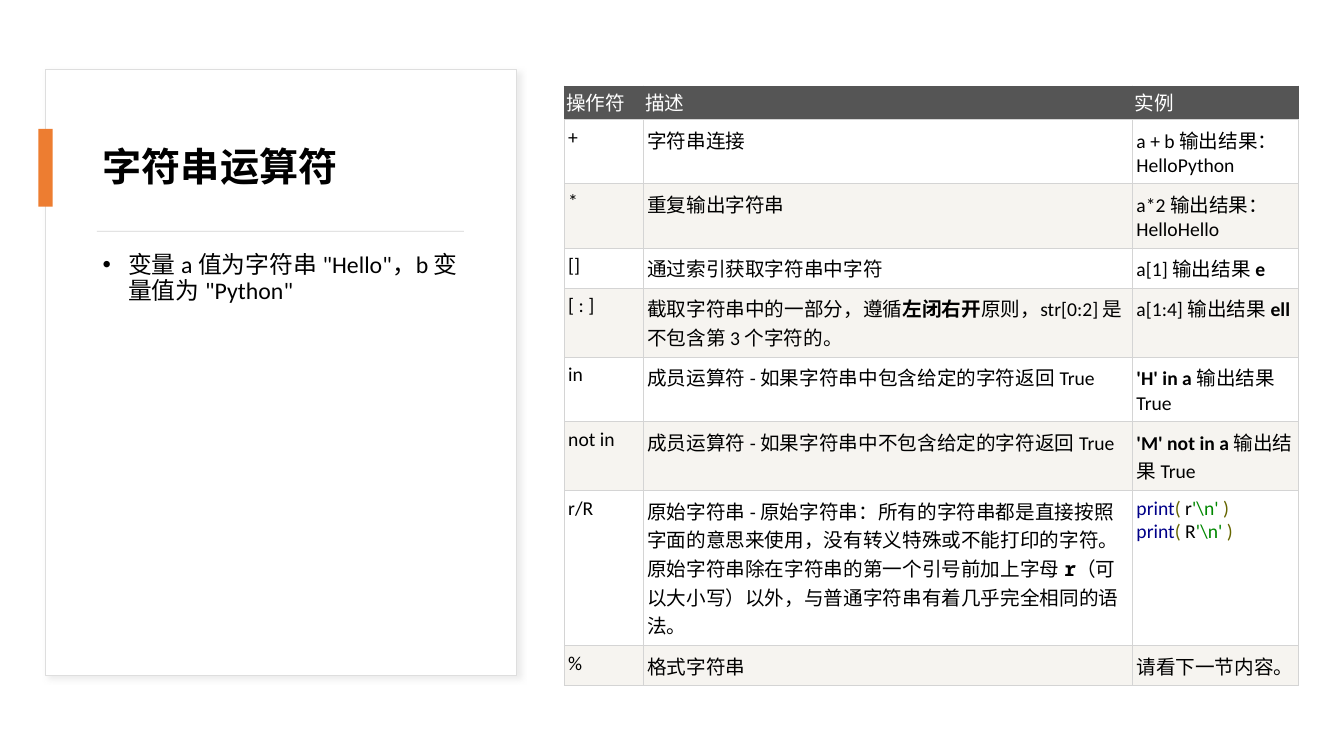
from lxml.etree import SubElement
from pptx import Presentation
from pptx.dml.color import RGBColor
from pptx.enum.lang import MSO_LANGUAGE_ID as Lang
from pptx.enum.shapes import MSO_SHAPE as Shape
from pptx.enum.text import MSO_ANCHOR as Anchor
from pptx.oxml import parse_xml
from pptx.oxml.ns import nsdecls, qn
from pptx.util import Cm, Pt

BLACK = RGBColor(0x00, 0x00, 0x00)
WHITE = RGBColor(0xFF, 0xFF, 0xFF)
ORANGE = RGBColor(0xED, 0x7D, 0x31)
CARD_LINE = RGBColor(0xDE, 0xDE, 0xDE)
RULE = RGBColor(0xD5, 0xD5, 0xD5)
HEADER = RGBColor(0x55, 0x55, 0x55)
BAND = RGBColor(0xF6, 0xF4, 0xF0)
GRID = RGBColor(0xD4, 0xD4, 0xD4)
NAVY = RGBColor(0x00, 0x00, 0x88)
OLIVE = RGBColor(0x66, 0x66, 0x00)
GREEN = RGBColor(0x00, 0x88, 0x00)

# Content: a cell is plain text or a list of (text, format) runs
TITLE = "字符串运算符"
BULLET = '变量 a 值为字符串 "Hello"，b 变量值为 "Python"'
BOLD = {"bold": True}
NBSP = chr(160)  # no-break space


def print_call(prefix, end):
    return [("print", {"color": NAVY}), ("(", {"color": OLIVE}),
            (f" {prefix}", {}), (r"'\n' ", {"color": GREEN}),
            (end, {"color": OLIVE})]


ROWS = [
    ("操作符", "描述", "实例"),
    ("+", "字符串连接", "a + b 输出结果： HelloPython"),
    ("*", "重复输出字符串", "a*2 输出结果：HelloHello"),
    ("[]", "通过索引获取字符串中字符", [("a[1] 输出结果" + NBSP, {}), ("e", BOLD)]),
    ("[ : ]",
     [("截取字符串中的一部分，遵循", {}), ("左闭右开", BOLD),
      ("原则，str[0:2] 是不包含第 3 个字符的。", {})],
     [("a[1:4] 输出结果" + NBSP, {}), ("ell", BOLD)]),
    ("in", "成员运算符 - 如果字符串中包含给定的字符返回 True",
     [("'H' in a" + NBSP, BOLD), ("输出结果 True", {})]),
    ("not in", "成员运算符 - 如果字符串中不包含给定的字符返回 True",
     [("'M' not in a" + NBSP, BOLD), ("输出结果 True", {})]),
    ("r/R",
     [("原始字符串 - 原始字符串：所有的字符串都是直接按照字面的意思来使用，"
       "没有转义特殊或不能打印的字符。 原始字符串除在字符串的第一个引号前加上字母" + NBSP, {}),
      ("r", {"bold": True, "font": "Noto Sans Mono"}),
      ("（可以大小写）以外，与普通字符串有着几乎完全相同的语法。", {})],
     print_call("r", ") ") + print_call("R", ")")),
    ("%", "格式字符串", "请看下一节内容。"),
]
COL_WIDTHS = (1.99, 12.33, 4.17)
ROW_HEIGHTS = (0.84, 1.62, 1.62, 1.01, 1.74, 1.62, 1.74, 3.91, 1.01)


def add_run(p, text, size=14, color=BLACK, bold=False, font="Calibri"):
    r = p.add_run()
    r.text = text
    r.font.name, r.font.size, r.font.bold = font, Pt(size), bold
    r.font.color.rgb = color
    r.font.language_id = Lang.SIMPLIFIED_CHINESE


def add_box(s, left, top, width, height, fill, line=None):
    sp = s.shapes.add_shape(Shape.RECTANGLE, Cm(left), Cm(top), Cm(width), Cm(height))
    sp.shadow.inherit = False
    sp.fill.solid()
    sp.fill.fore_color.rgb = fill
    if line is None:
        sp.line.fill.background()
    else:
        sp.line.color.rgb = line
        sp.line.width = Pt(0.75)
    return sp


def add_text_area(s, left, top, width, height, anchor):
    tf = s.shapes.add_textbox(Cm(left), Cm(top), Cm(width), Cm(height)).text_frame
    tf.word_wrap = True
    tf.vertical_anchor = anchor
    p = tf.paragraphs[0]
    p.line_spacing = 0.9
    return p


def set_borders(cell, side_color):
    tc_pr = cell._tc.get_or_add_tcPr()
    sides = (("L", side_color), ("R", side_color), ("T", side_color), ("B", GRID))
    for i, (side, color) in enumerate(sides):
        tc_pr.insert(i, parse_xml(
            f'<a:ln{side} {nsdecls("a")} w="{Pt(0.75)}"><a:solidFill>'
            f'<a:srgbClr val="{color}"/></a:solidFill></a:ln{side}>'))


prs = Presentation()
prs.slide_width, prs.slide_height = Cm(33.87), Cm(19.05)
s = prs.slides.add_slide(prs.slide_layouts[6])

# Card with soft shadow, accent bar and rule
card = add_box(s, 1.14, 1.75, 11.89, 15.27, WHITE, CARD_LINE)
effects = card._element.spPr.find(qn("a:effectLst"))
effects.append(parse_xml(
    f'<a:outerShdw {nsdecls("a")} blurRad="{Pt(4)}" dist="{Pt(3)}" dir="2700000" '
    'algn="tl" rotWithShape="0"><a:srgbClr val="D9D9D9"><a:alpha val="50000"/>'
    '</a:srgbClr></a:outerShdw>'))
add_box(s, 0.97, 3.25, 0.36, 1.96, ORANGE)
add_box(s, 2.44, 5.82, 9.25, 0.02, RULE)

# Title and bullet
p = add_text_area(s, 2.34, 2.72, 9.47, 3.07, Anchor.MIDDLE)
add_run(p, TITLE, size=28, bold=True)

p = add_text_area(s, 2.34, 6.25, 9.47, 9.88, Anchor.TOP)
p_pr = p._p.get_or_add_pPr()
p_pr.set("marL", str(Cm(0.64)))
p_pr.set("indent", str(Cm(-0.64)))
SubElement(p_pr, qn("a:buFont")).set("typeface", "Arial")
SubElement(p_pr, qn("a:buChar")).set("char", "•")
add_run(p, BULLET, size=17)

# Operator table
table = s.shapes.add_table(len(ROWS), len(COL_WIDTHS), Cm(14.22), Cm(2.17),
                           Cm(sum(COL_WIDTHS)), Cm(sum(ROW_HEIGHTS))).table
for col, width in zip(table.columns, COL_WIDTHS):
    col.width = Cm(width)
for i, (row, height) in enumerate(zip(ROWS, ROW_HEIGHTS)):
    table.rows[i].height = Cm(height)
    is_header = i == 0
    fill = HEADER if is_header else WHITE if i % 2 else BAND
    for j, content in enumerate(row):
        cell = table.cell(i, j)
        cell.margin_left = cell.margin_right = Cm(0.05 if is_header else 0.1)
        cell.margin_top = cell.margin_bottom = Cm(0.05 if is_header else 0.15)
        cell.fill.solid()
        cell.fill.fore_color.rgb = fill
        set_borders(cell, HEADER if is_header else GRID)
        runs = [(content, {})] if isinstance(content, str) else content
        for text, fmt in runs:
            base = {"color": WHITE if is_header else BLACK}
            add_run(cell.text_frame.paragraphs[0], text, **{**base, **fmt})

prs.save("out.pptx")
